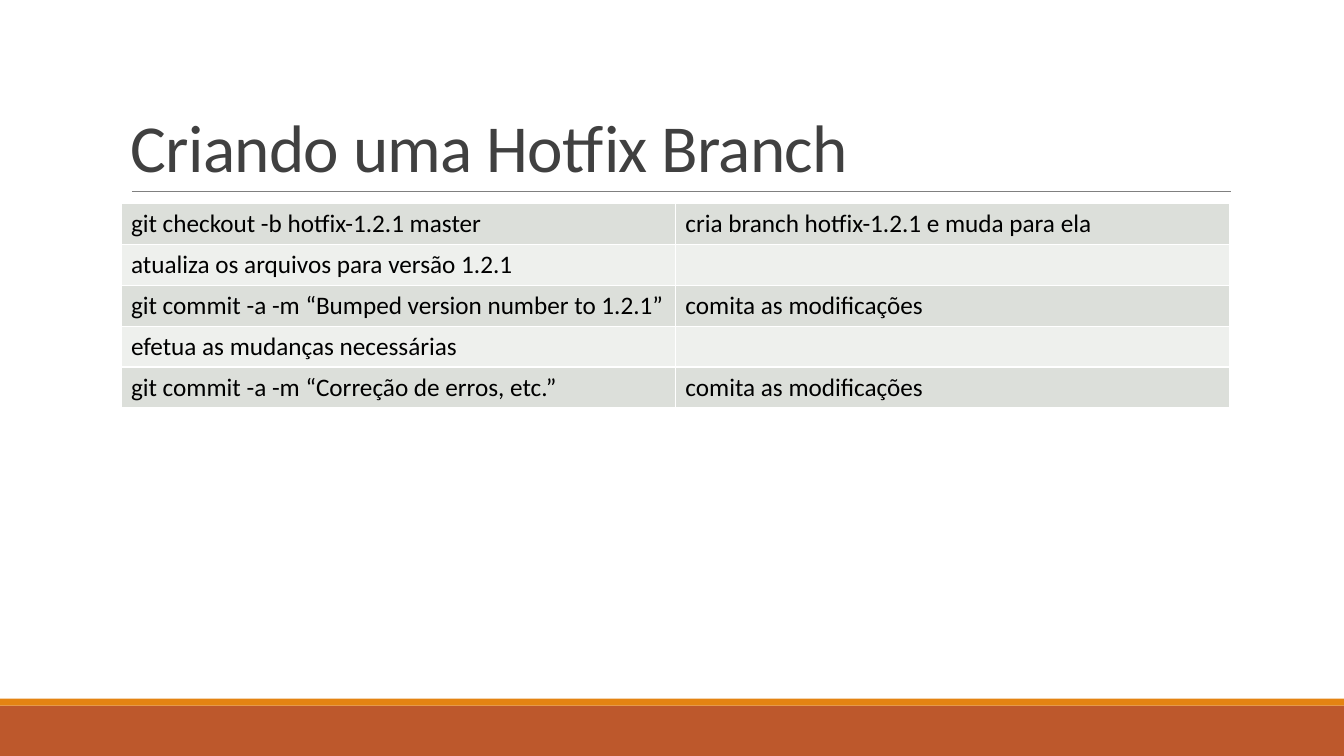
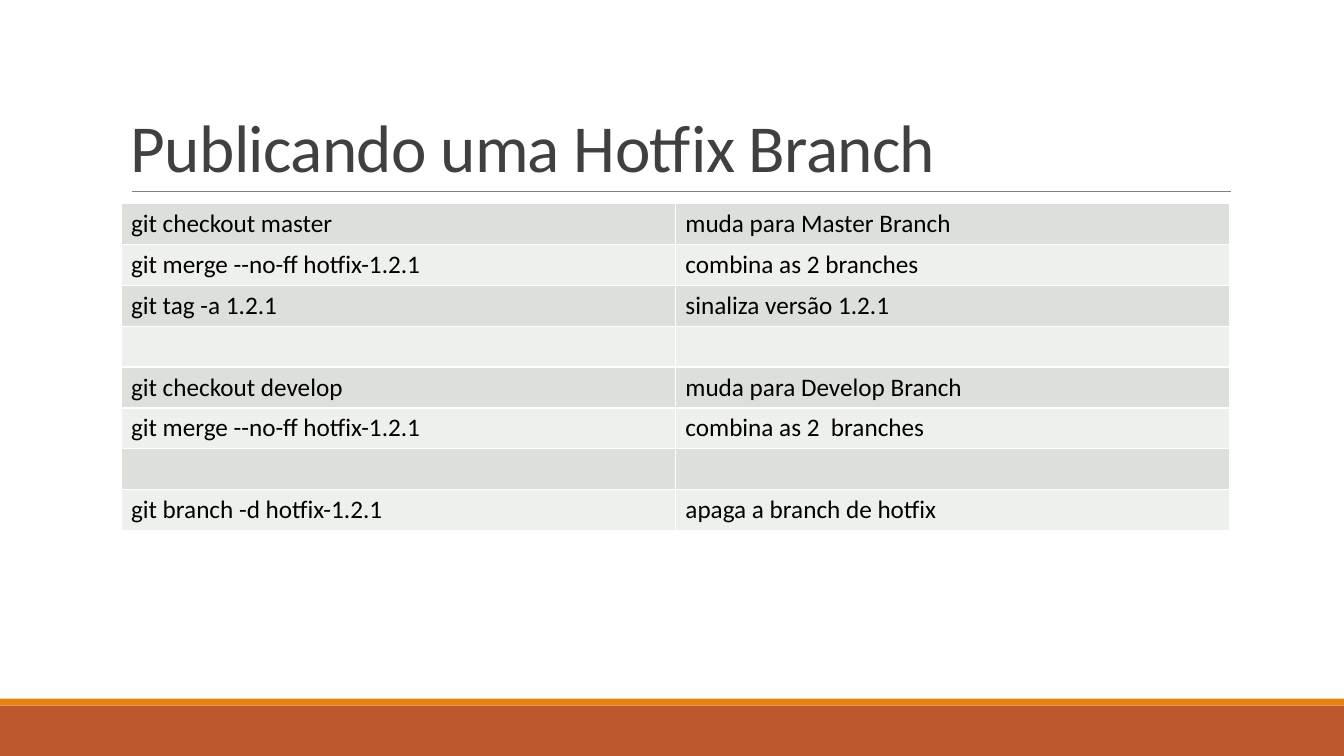
from lxml.etree import SubElement
from pptx import Presentation
from pptx.dml.color import RGBColor
from pptx.enum.shapes import MSO_CONNECTOR, MSO_SHAPE
from pptx.enum.text import MSO_ANCHOR
from pptx.oxml.ns import qn
from pptx.util import Pt

SLIDE_W, SLIDE_H = 960, 540
TITLE_BOX = (86.4, 22.4, 792, 114.4)
TABLE_BOX = (86.4, 145.4, 792)  # left, top, width
ROW_H = 29.2
RULE = (94.3, 879, 136.8)  # left end, right end, height on the slide
BANDS = [(504, 36, "BD582C"), (499, 5, "E48312")]  # top, height, colour
ROW_FILLS = ["DCDFDA", "EEF0ED"]
TITLE_FONT = {"name": "Calibri", "size": Pt(48), "color": "404040"}
CELL_FONT = {"name": "Calibri", "size": Pt(18), "color": "000000"}

SLIDES = [
    ("Criando uma Hotfix Branch", [
        ("git checkout -b hotfix-1.2.1 master", "cria branch hotfix-1.2.1 e muda para ela"),
        ("atualiza os arquivos para versão 1.2.1", ""),
        ("git commit -a -m “Bumped version number to 1.2.1”", "comita as modificações"),
        ("efetua as mudanças necessárias", ""),
        ("git commit -a -m “Correção de erros, etc.”", "comita as modificações"),
    ]),
    ("Publicando uma Hotfix Branch", [
        ("git checkout master", "muda para Master Branch"),
        ("git merge --no-ff hotfix-1.2.1", "combina as 2 branches"),
        ("git tag -a 1.2.1", "sinaliza versão 1.2.1"),
        ("", ""),
        ("git checkout develop", "muda para Develop Branch"),
        ("git merge --no-ff hotfix-1.2.1", "combina as 2  branches"),
        ("", ""),
        ("git branch -d hotfix-1.2.1", "apaga a branch de hotfix"),
    ]),
]


def paint(fill, color):
    fill.solid()
    fill.fore_color.rgb = RGBColor.from_string(color)


def add_run(p, text, style):
    r = p.add_run()
    r.text = text
    for key, value in style.items():
        if key == "color":
            paint(r.font.fill, value)
        else:
            setattr(r.font, key, value)
    return r


def add_frame(s):
    """Draw the footer bands and the rule under the title."""
    for top, height, color in BANDS:
        band = s.shapes.add_shape(MSO_SHAPE.RECTANGLE, 0, Pt(top), Pt(SLIDE_W), Pt(height))
        band.shadow.inherit = False
        paint(band.fill, color)
        band.line.fill.background()
    left, right, y = RULE
    rule = s.shapes.add_connector(MSO_CONNECTOR.STRAIGHT, Pt(left), Pt(y), Pt(right), Pt(y))
    paint(rule.line.fill, "808080")
    rule.line.width = Pt(0.5)
    SubElement(rule._element.spPr, qn("a:effectLst"))


def add_title(s, box, text):
    tf = s.shapes.add_textbox(*map(Pt, box)).text_frame
    tf.word_wrap = True
    tf.vertical_anchor = MSO_ANCHOR.BOTTOM
    p = tf.paragraphs[0]
    p.line_spacing = 0.85
    r = add_run(p, text, TITLE_FONT)
    r.font._element.set("spc", "-50")


def add_borders(cell, color="FFFFFF", width=1):
    tc_pr = cell._tc.get_or_add_tcPr()
    for side in ("lnL", "lnR", "lnT", "lnB"):
        ln = SubElement(tc_pr, qn(f"a:{side}"), w=str(Pt(width)))
        SubElement(SubElement(ln, qn("a:solidFill")), qn("a:srgbClr"), val=color)


def add_commands(s, box, rows):
    """Draw the two-column table of commands and what they do."""
    left, top, width = box
    frame = s.shapes.add_table(len(rows), len(rows[0]), Pt(left), Pt(top),
                               Pt(width), Pt(ROW_H * len(rows)))
    table = frame.table
    table.first_row = table.horz_banding = False
    for i, texts in enumerate(rows):
        table.rows[i].height = Pt(ROW_H)
        for j, text in enumerate(texts):
            cell = table.cell(i, j)
            add_borders(cell)
            paint(cell.fill, ROW_FILLS[i % 2])
            if text:
                add_run(cell.text_frame.paragraphs[0], text, CELL_FONT)


def main():
    prs = Presentation()
    prs.slide_width, prs.slide_height = Pt(SLIDE_W), Pt(SLIDE_H)
    for title, rows in SLIDES:
        s = prs.slides.add_slide(prs.slide_layouts[6])
        add_frame(s)
        add_title(s, TITLE_BOX, title)
        add_commands(s, TABLE_BOX, rows)
    prs.save("out.pptx")


if __name__ == "__main__":
    main()
